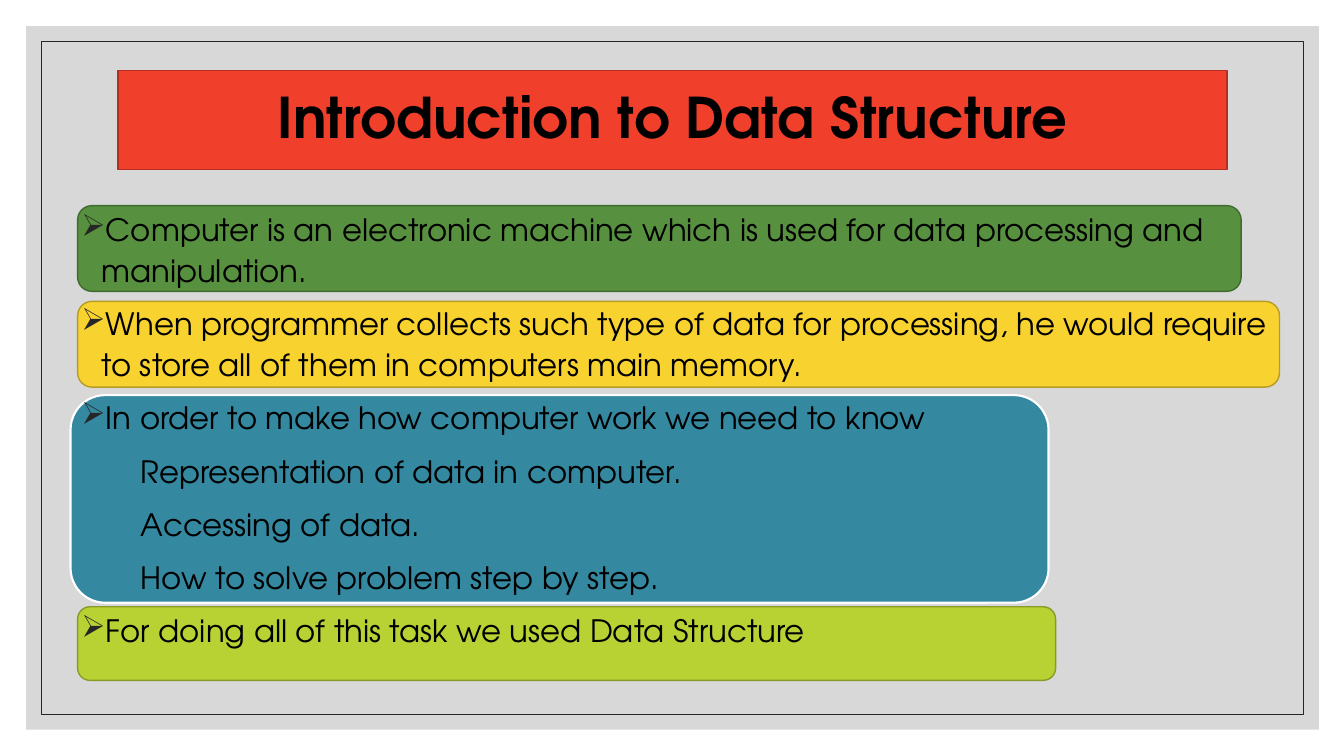
from lxml.etree import SubElement
from pptx import Presentation
from pptx.dml.color import RGBColor
from pptx.enum.shapes import MSO_SHAPE
from pptx.enum.text import MSO_ANCHOR, PP_ALIGN
from pptx.oxml.ns import qn
from pptx.util import Inches, Pt

THEME = dict(font="TeX Gyre Adventor", text="000000", bullet="262626",
             title_size=40, body_size=22)

TITLE = "Introduction to Data Structure"
BULLET, SUB = "bullet", "sub"
BODY = [
    (BULLET, "Computer is an electronic machine which is used for data processing and manipulation."),
    (BULLET, "When programmer collects such type of data for processing, he would require "
             "to store all of them in computers main memory."),
    (BULLET, "In order to make how computer work we need to know"),
    (SUB, "Representation of data in computer."),
    (SUB, "Accessing of data."),
    (SUB, "How to solve problem step by step."),
    (BULLET, "For doing all of this task we used Data Structure"),
]
BODY_BOX = (0.71, 2.01, 12.07, 4.97)
SUB_INDENT, HANGING = 0.59, 0.2

# box, shape, fill, fill opacity in percent, line colour, line width
RECT, ROUND = MSO_SHAPE.RECTANGLE, MSO_SHAPE.ROUNDED_RECTANGLE
BACKDROP = ((0.26, 0.26, 12.82, 6.98), RECT, "BFBFBF", 60, None, 0)
FRAME = ((0.41, 0.41, 12.52, 6.68), RECT, None, 100, "262626", 0.5)
BANNER = ((1.17, 0.7, 11, 0.98), RECT, "F03F2B", 100, "B22F20", 1)
PANELS = [
    ((0.77, 2.04, 11.54, 0.85), ROUND, "57903F", 100, "406B2F", 1),
    ((0.77, 2.99, 11.92, 0.85), ROUND, "F8D22F", 100, "B79B23", 1),
    ((0.7, 3.92, 9.7, 2.06), ROUND, "3488A0", 100, "FFFFFF", 1.5),
    ((0.77, 6.02, 9.7, 0.73), ROUND, "B8D233", 100, "889B26", 1),
]


def add_panel(s, box, kind, fill, opacity, line, width):
    sp = s.shapes.add_shape(kind, *map(Inches, box))
    sp.shadow.inherit = False
    if fill:
        sp.fill.solid()
        sp.fill.fore_color.rgb = RGBColor.from_string(fill)
        if opacity < 100:
            color = sp.fill._xPr.find(".//" + qn("a:srgbClr"))
            SubElement(color, qn("a:alpha"), val=str(opacity * 1000))
    else:
        sp.fill.background()
    if line:
        sp.line.color.rgb = RGBColor.from_string(line)
        sp.line.width = Pt(width)
    else:
        sp.line.fill.background()
    return sp


def write(p, text, size, bold=False, **layout):
    for name, value in layout.items():
        setattr(p, name, value)
    r = p.add_run()
    r.text = text
    for name, value in dict(name=THEME["font"], size=Pt(size), bold=bold).items():
        setattr(r.font, name, value)
    r.font.color.rgb = RGBColor.from_string(THEME["text"])


def set_indent(p, kind):
    pPr = p._p.get_or_add_pPr()
    if kind == SUB:
        pPr.set("marL", str(Inches(SUB_INDENT)))
        return
    pPr.set("marL", str(Inches(HANGING)))
    pPr.set("indent", str(-Inches(HANGING)))
    SubElement(SubElement(pPr, qn("a:buClr")), qn("a:srgbClr"), val=THEME["bullet"])
    SubElement(pPr, qn("a:buChar"), char="➢")


def main():
    prs = Presentation()
    prs.slide_width, prs.slide_height = Inches(13.33), Inches(7.5)
    s = prs.slides.add_slide(prs.slide_layouts[6])

    for panel in (BACKDROP, FRAME, *PANELS):
        add_panel(s, *panel)

    tf = add_panel(s, *BANNER).text_frame
    tf.vertical_anchor = MSO_ANCHOR.MIDDLE
    write(tf.paragraphs[0], TITLE, THEME["title_size"], bold=True,
          alignment=PP_ALIGN.CENTER, line_spacing=0.9)

    tf = s.shapes.add_textbox(*map(Inches, BODY_BOX)).text_frame
    tf.word_wrap = True
    for i, (kind, text) in enumerate(BODY):
        p = tf.add_paragraph() if i else tf.paragraphs[0]
        write(p, text, THEME["body_size"], line_spacing=1.1, space_before=Pt(9))
        set_indent(p, kind)

    prs.save("out.pptx")


if __name__ == "__main__":
    main()
